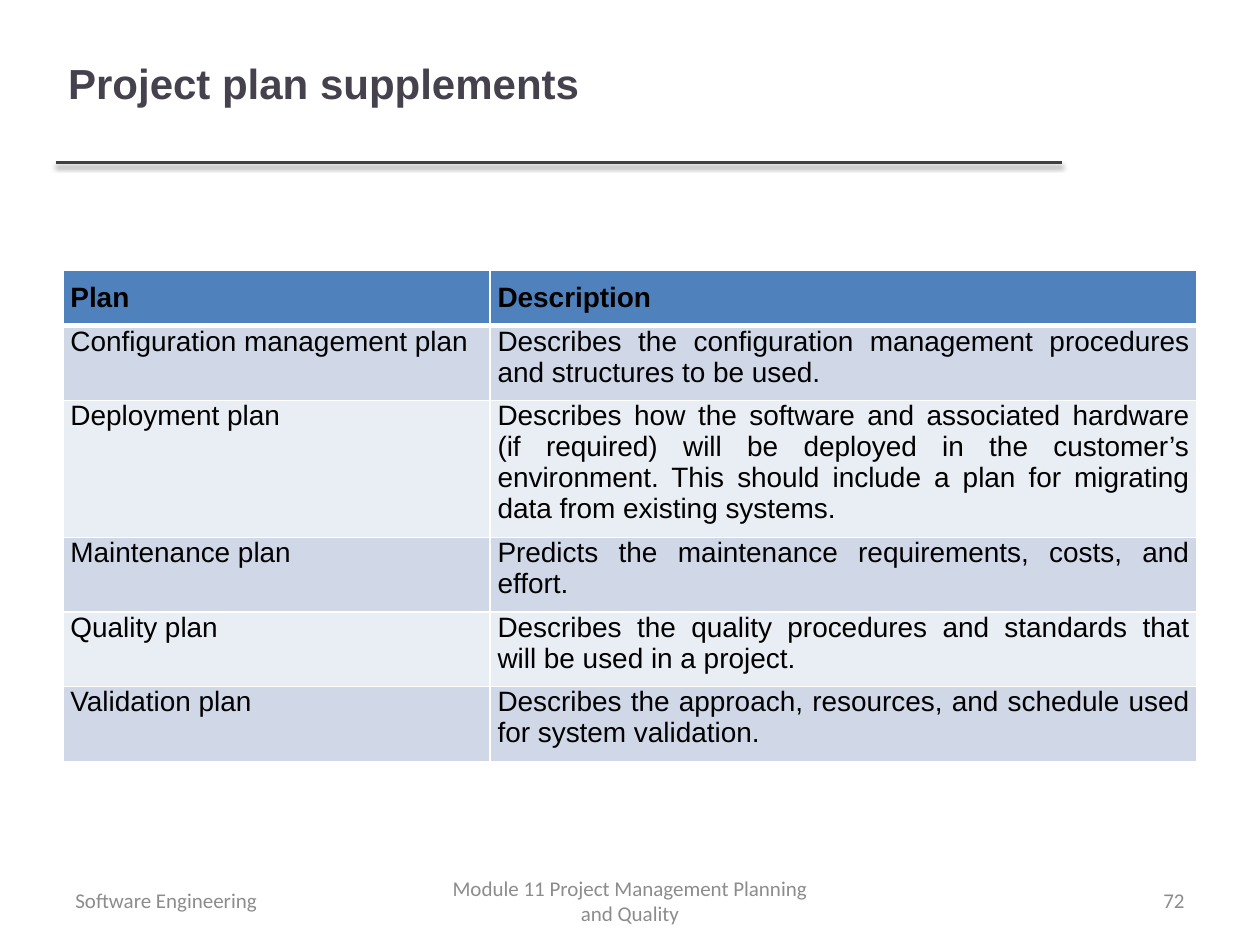
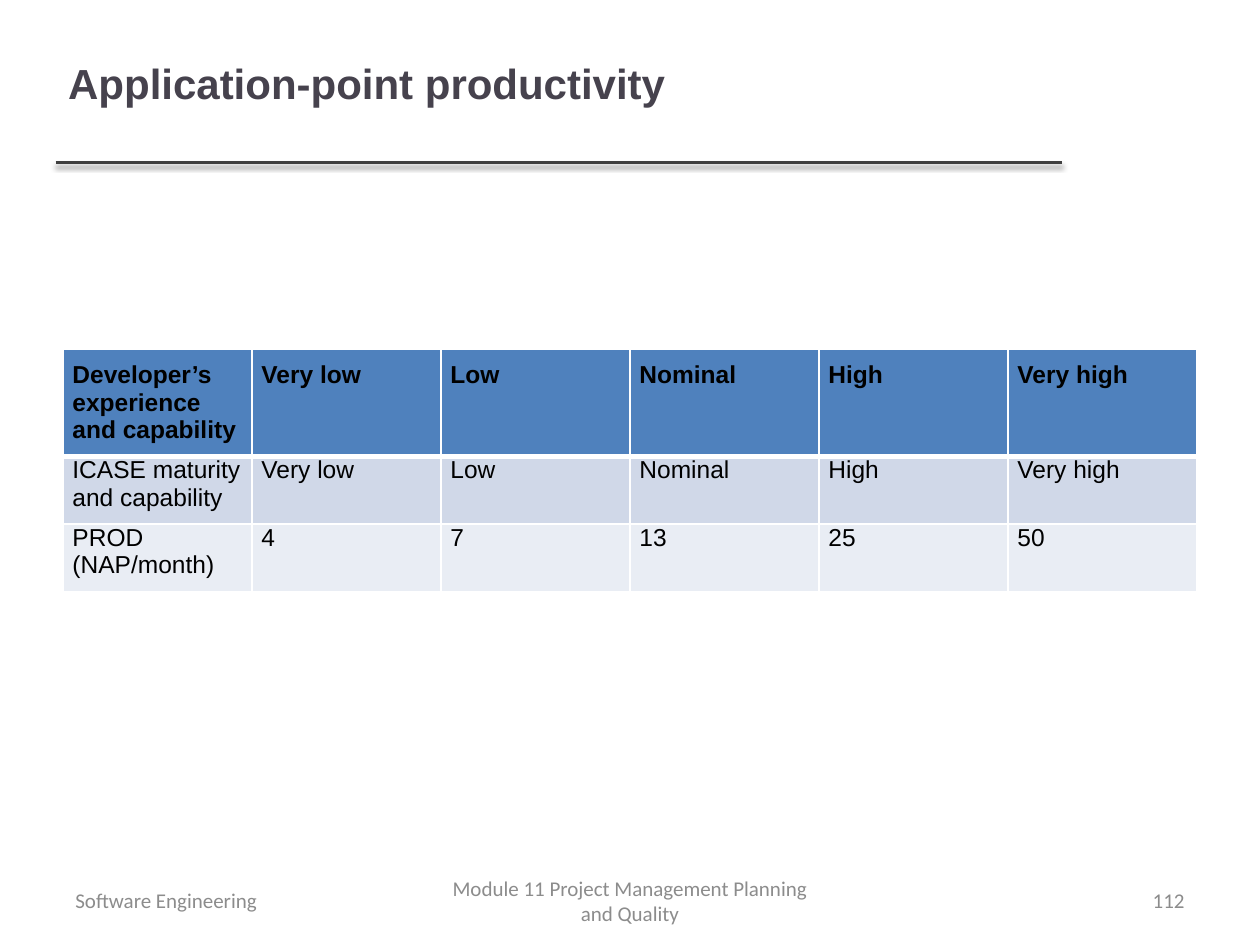
from lxml.etree import SubElement
from pptx import Presentation
from pptx.dml.color import RGBColor
from pptx.enum.shapes import MSO_CONNECTOR
from pptx.enum.text import MSO_ANCHOR, PP_ALIGN
from pptx.oxml.ns import qn
from pptx.util import Cm, Pt

COLOURS = {
    "title": "46424D",
    "rule": "404040",
    "shadow": "000000",
    "text": "000000",
    "footer": "8C8C8C",
    "header": "4F81BD",
    "odd row": "D0D8E8",
    "even row": "E9EDF4",
    "border": "FFFFFF",
}
MARGIN, CONTENT_WIDTH = 1.27, 22.86
ROW_HEIGHT = 1.04

PLANS = [
    ["Plan", "Description"],
    ["Configuration management plan",
     "Describes the configuration management procedures and structures to be used."],
    ["Deployment plan",
     "Describes how the software and associated hardware (if required) will be deployed in the "
     "customer’s environment. This should include a plan for migrating data from existing systems."],
    ["Maintenance plan", "Predicts the maintenance requirements, costs, and effort."],
    ["Quality plan",
     "Describes the quality procedures and standards that will be used in a project."],
    ["Validation plan",
     "Describes the approach, resources, and schedule used for system validation."],
]
LEVELS = ["Very low", "Low", "Nominal", "High", "Very high"]
PRODUCTIVITY = [
    ["Developer’s experience and capability", *LEVELS],
    ["ICASE maturity and capability", *LEVELS],
    ["PROD (NAP/month)", "4", "7", "13", "25", "50"],
]


def colour(name):
    return RGBColor.from_string(COLOURS[name])


def write(frame, text, font, size, tint, align=PP_ALIGN.LEFT, bold=False):
    para = frame.paragraphs[0]
    para.alignment = align
    span = para.add_run()
    span.text = text
    span.font.name = font
    span.font.size = Pt(size)
    span.font.bold = bold
    span.font.color.rgb = colour(tint)


def add_title(page, text, left, top, width, height):
    title = page.shapes.title
    title.left, title.top, title.width, title.height = map(Cm, (left, top, width, height))
    title.text_frame.vertical_anchor = MSO_ANCHOR.MIDDLE
    write(title.text_frame, text, "Arial", 24, "title", bold=True)

    # Rule under the title, with a soft shadow below it
    bottom = top + height + 0.03
    rule = page.shapes.add_connector(
        MSO_CONNECTOR.STRAIGHT, Cm(left), Cm(bottom), Cm(left + width), Cm(bottom))
    rule.line.color.rgb = colour("rule")
    rule.line.width = Pt(2)
    effects = SubElement(rule._element.spPr, qn("a:effectLst"))
    shadow = SubElement(effects, qn("a:outerShdw"), blurRad="40000", dist="20000",
                        dir="5400000", rotWithShape="0")
    tint = SubElement(shadow, qn("a:srgbClr"), val=COLOURS["shadow"])
    SubElement(tint, qn("a:alpha"), val="38000")


def add_footer(page, number, left, top, width, height):
    side, middle = 5.93, 8.04
    parts = [
        ("Software Engineering", left, side, PP_ALIGN.LEFT),
        ("Module 11 Project Management Planning and Quality",
         left + (width - middle) / 2, middle, PP_ALIGN.CENTER),
        (str(number), left + width - side, side, PP_ALIGN.RIGHT),
    ]
    for text, part_left, part_width, align in parts:
        box = page.shapes.add_textbox(Cm(part_left), Cm(top), Cm(part_width), Cm(height))
        box.text_frame.word_wrap = True
        box.text_frame.vertical_anchor = MSO_ANCHOR.MIDDLE
        write(box.text_frame, text, "Calibri", 12, "footer", align)


def add_borders(cell, top, bottom):
    properties = cell._tc.get_or_add_tcPr()
    for side, points in (("L", 1), ("R", 1), ("T", top), ("B", bottom)):
        line = SubElement(properties, qn(f"a:ln{side}"), w=str(Pt(points)))
        fill = SubElement(line, qn("a:solidFill"))
        SubElement(fill, qn("a:srgbClr"), val=COLOURS["border"])


def add_grid(page, rows, widths, size, inset, left, top, height):
    frame = page.shapes.add_table(len(rows), len(widths), Cm(left), Cm(top),
                                  Cm(sum(widths)), Cm(ROW_HEIGHT * len(rows)))
    table = frame.table
    for column, width in zip(table.columns, widths):
        column.width = Cm(width)
    for r, texts in enumerate(rows):
        # Rows grow with their text
        table.rows[r].height = Cm(ROW_HEIGHT)
        is_header = r == 0
        band = "header" if is_header else "odd row" if r % 2 else "even row"
        for c, text in enumerate(texts):
            cell = table.cell(r, c)
            add_borders(cell, top=3 if r == 1 else 1, bottom=3 if is_header else 1)
            cell.fill.solid()
            cell.fill.fore_color.rgb = colour(band)
            cell.margin_left = cell.margin_right = Cm(inset)
            cell.margin_top = Cm(0.25 if is_header else 0)
            cell.margin_bottom = Cm(0.25)
            align = PP_ALIGN.JUSTIFY if c else PP_ALIGN.LEFT
            write(cell.text_frame, text, "Arial", size, "text", align, is_header)
    frame.height = Cm(height)


def add_table_page(deck, title, number, rows, widths, size, inset, top, height):
    page = deck.slides.add_slide(deck.slide_layouts[5])
    add_title(page, title, 1.12, 0.08, 20.28, 3.17)
    add_grid(page, rows, widths, size, inset, MARGIN, top, height)
    add_footer(page, number, MARGIN, 17.65, CONTENT_WIDTH, 1.01)


def main():
    deck = Presentation()
    deck.slide_width, deck.slide_height = Cm(25.4), Cm(19.05)
    add_table_page(deck, "Project plan supplements", 72, PLANS,
                   widths=[8.61, 14.25], size=16, inset=0.15, top=5.44, height=10.59)
    add_table_page(deck, "Application-point productivity", 112, PRODUCTIVITY,
                   widths=[CONTENT_WIDTH / 6] * 6, size=14, inset=0.19, top=7.04, height=5.16)
    deck.save("out.pptx")


if __name__ == "__main__":
    main()
